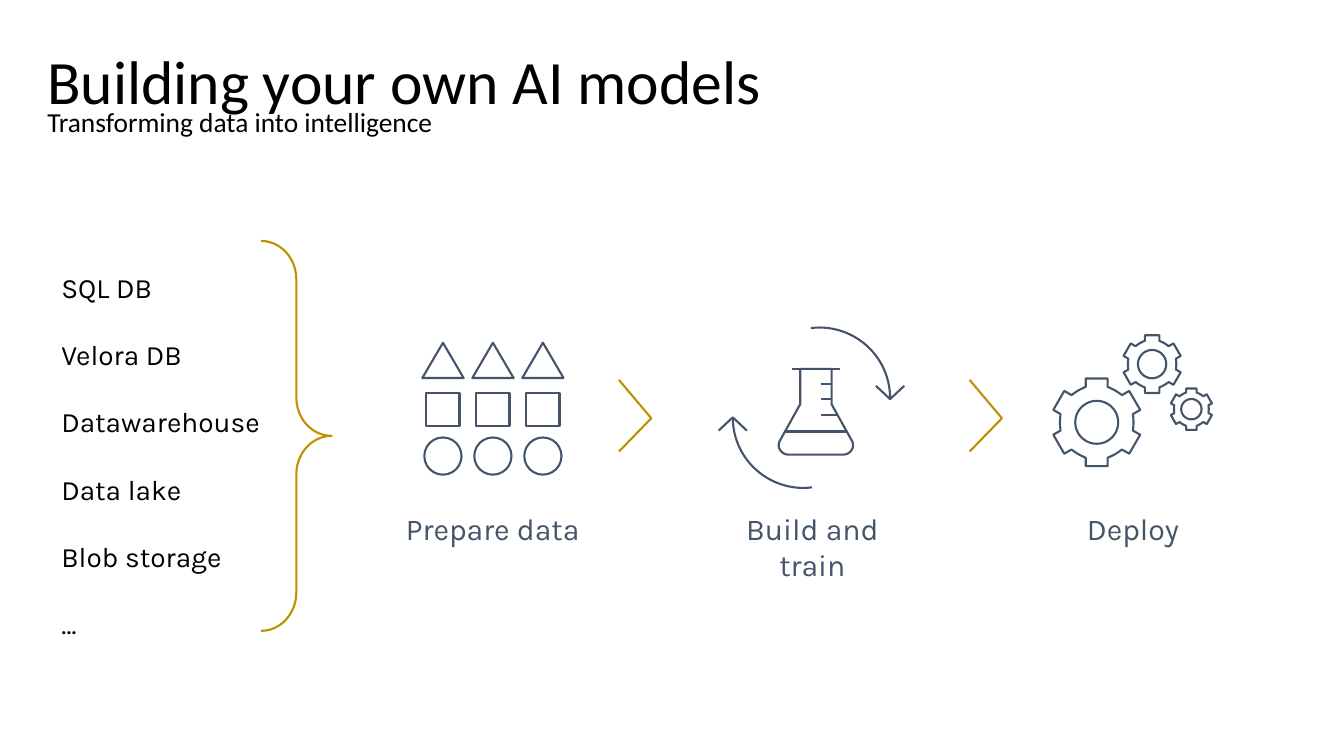
from math import cos, sin, radians
from lxml import etree
from pptx import Presentation
from pptx.dml.color import RGBColor
from pptx.enum import shapes, text
from pptx.oxml.ns import qn
from pptx.util import Pt

BLACK = RGBColor(0x00, 0x00, 0x00)
WHITE = RGBColor(0xFF, 0xFF, 0xFF)
SLATE = RGBColor(0x44, 0x54, 0x6A)
GOLD = RGBColor(0xBF, 0x90, 0x00)
LINE = 1.5
KIND = shapes.MSO_SHAPE
LEFT, CENTER = text.PP_ALIGN.LEFT, text.PP_ALIGN.CENTER

TITLE = "Building your own AI models"
SUBTITLE = "Transforming data into intelligence"
SOURCES = ["SQL DB", "Velora DB", "Datawarehouse", "Data lake", "Blob storage", "…"]
STEPS = [("Prepare data", 352), ("Build and train", 580.3), ("Deploy", 809.3)]  # label, centre
LABEL_TOP, LABEL_W, LABEL_H = 360.7, 150, 33.1

BRACE = (186.5, 172.1, 50.4, 278.6)
CHEVRON_LEFTS = [442.1, 692.6]
CHEVRON = [(0, 271.4), (23.1, 298.8), (0, 322.6)]

GRID_X, GRID_PITCH, GRID_COLUMNS = 316.4, 35.7, 3
GRID_ROWS = [  # kind, top, width, height
    (KIND.ISOSCELES_TRIANGLE, 244.8, 29.5, 25.2),
    (KIND.RECTANGLE, 280.8, 23.8, 23.8),
    (KIND.OVAL, 312.5, 26.6, 26.6),
]

FLASK_X = 582.8
FLASK_NECK = [(11.2, 263.5), (11.2, 288.7)]  # half width, y
FLASK_CORNER = [(25.6, 314.6), (28.4, 319), (24.8, 324.7), (19.8, 324.7)]
FLASK_LINES = [  # x1, x2, y
    (560.9, 604.8, 308.2), (586.1, 594, 274.3), (586.1, 594, 285.1),
    (586.1, 598.3, 296.6), (565.9, 599.8, 263.5),
]
ARC_SIZE, ARC_START = 100.8, 157.755
CYCLE = [  # arc left, arc top, rotation, arrow tip x, tip y, wing offset
    (535, 234, 0, 635.8, 285.1, -9.5),
    (523.4, 247.7, 180, 523.4, 298.1, 9.5),
]
WING = 10.1

GEARS = [(783.4, 301.7, 31.3), (823, 260.1, 20.6), (851, 292.3, 14.8)]  # x, y, radius
TOOTH = [(0.81, -0.25), (1, -0.25), (1, 0.25), (0.81, 0.25)]
VALLEY, HOLE, TEETH = 0.84, 0.49, 6


def add_text(s, lines, box, size, font, color, align=LEFT, insets=None, spacing=1):
    tb = s.shapes.add_textbox(*map(Pt, box))
    tf = tb.text_frame
    tf.word_wrap = True
    if insets:
        tf.margin_left, tf.margin_top, tf.margin_right, tf.margin_bottom = map(Pt, insets)
    for i, line in enumerate(lines):
        p = tf.add_paragraph() if i else tf.paragraphs[0]
        p.text, p.alignment, p.line_spacing = line, align, spacing
        p.font.size, p.font.name, p.font.color.rgb = Pt(size), font, color


def style(sp, color, fill=None):
    sp.shadow.inherit = False
    if fill is None:
        sp.fill.background()
    else:
        sp.fill.solid()
        sp.fill.fore_color.rgb = fill
    sp.line.color.rgb, sp.line.width = color, Pt(LINE)


def add_preset(s, kind, box, color, fill=None):
    sp = s.shapes.add_shape(kind, *map(Pt, box))
    style(sp, color, fill)
    return sp


def add_outline(s, contours, color, close):
    """Draw one freeform from lists of points."""
    contours = [[(Pt(x), Pt(y)) for x, y in c] for c in contours]
    fb = s.shapes.build_freeform(*contours[0][0], scale=1.0)
    for i, contour in enumerate(contours):
        if i:
            fb.move_to(*contour[0])
        fb.add_line_segments(contour[1:], close=close)
    style(fb.convert_to_shape(), color)


def add_line(s, x1, x2, y):
    c = s.shapes.add_connector(shapes.MSO_CONNECTOR.STRAIGHT, Pt(x1), Pt(y), Pt(x2), Pt(y))
    c.line.color.rgb, c.line.width = SLATE, Pt(LINE)
    etree.SubElement(c._element.spPr, qn("a:effectLst"))


def bezier(points, steps=10):
    curve = []
    for i in range(steps + 1):
        t = i / steps
        weights = ((1 - t) ** 3, 3 * t * (1 - t) ** 2, 3 * t * t * (1 - t), t ** 3)
        curve.append(tuple(sum(w * p[k] for w, p in zip(weights, points)) for k in (0, 1)))
    return curve


def add_gear(s, cx, cy, radius):
    def turn(x, y, degrees):
        a = radians(degrees)
        return (cx + radius * (x * cos(a) - y * sin(a)),
                cy + radius * (x * sin(a) + y * cos(a)))

    step = 360 / TEETH
    rim = []
    for i in range(TEETH):
        angle = step * (i + 0.5)
        rim += [turn(x, y, angle) for x, y in TOOTH]
        rim += [turn(VALLEY, 0, angle + step * f) for f in (0.4, 0.5, 0.6)]
    hole = [turn(HOLE, 0, a) for a in range(0, 360, 6)]
    add_outline(s, [rim, hole], SLATE, True)


def add_flask(s):
    side = FLASK_NECK + bezier(FLASK_CORNER)
    left = [(FLASK_X - w, y) for w, y in side]
    right = [(FLASK_X + w, y) for w, y in reversed(side)]
    add_outline(s, [left + right], SLATE, True)
    for line in FLASK_LINES:
        add_line(s, *line)


def add_cycle(s):
    for left, top, rotation, x, y, dy in CYCLE:
        arc = add_preset(s, KIND.ARC, (left, top, ARC_SIZE, ARC_SIZE), SLATE)
        arc.adjustments[0], arc.adjustments[1] = ARC_START, 0
        arc.rotation = rotation
        add_outline(s, [[(x - WING, y + dy), (x, y), (x + WING, y + dy)]], SLATE, False)


def main():
    prs = Presentation()
    prs.slide_width, prs.slide_height = Pt(960), Pt(540)
    s = prs.slides.add_slide(prs.slide_layouts[6])

    add_text(s, [TITLE], (33.8, 23.8, 892.8, 59.8), 44, "Calibri", BLACK,
             insets=(0, 13, 0, 0), spacing=0.9)
    add_text(s, [SUBTITLE], (33.8, 77.8, 892.8, 21.6), 19.6, "Calibri", BLACK,
             insets=(0, 0, 0, 0), spacing=0.9)
    add_text(s, SOURCES, (36.7, 165.6, 160, 295.9), 20, "Karla", BLACK, spacing=2)
    brace = add_preset(s, KIND.RIGHT_BRACE, BRACE, GOLD)
    brace.adjustments[0], brace.adjustments[1] = 0.544, 0.5

    for label, x in STEPS:
        add_text(s, [label], (x - LABEL_W / 2, LABEL_TOP, LABEL_W, LABEL_H),
                 21.6, "Karla", SLATE, CENTER)
    for column in range(GRID_COLUMNS):
        x = GRID_X + column * GRID_PITCH
        for kind, top, w, h in GRID_ROWS:
            add_preset(s, kind, (x - w / 2, top, w, h), SLATE, WHITE)
    add_flask(s)
    add_cycle(s)
    for gear in GEARS:
        add_gear(s, *gear)
    for left in CHEVRON_LEFTS:
        add_outline(s, [[(left + x, y) for x, y in CHEVRON]], GOLD, False)

    prs.save("out.pptx")


if __name__ == "__main__":
    main()
